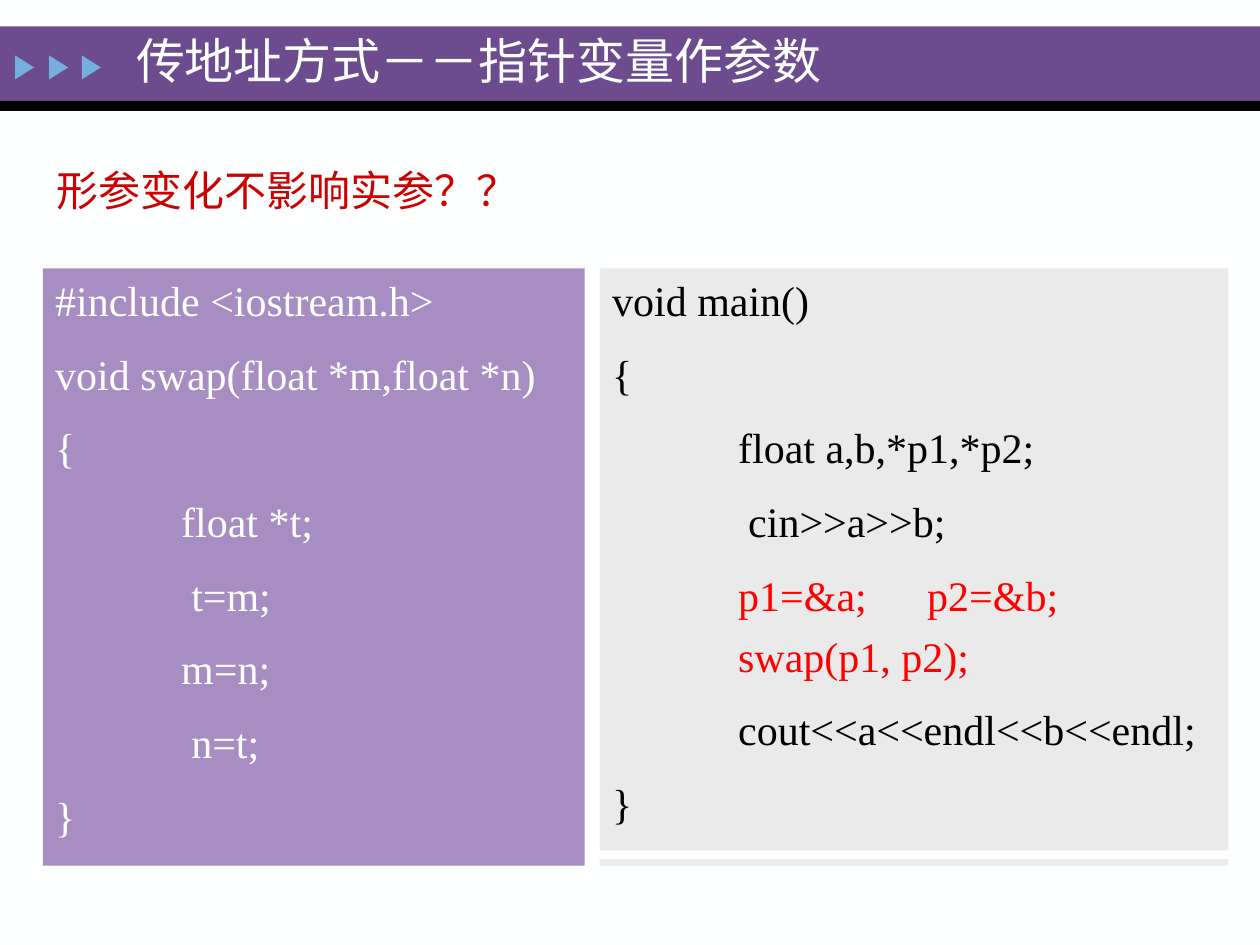
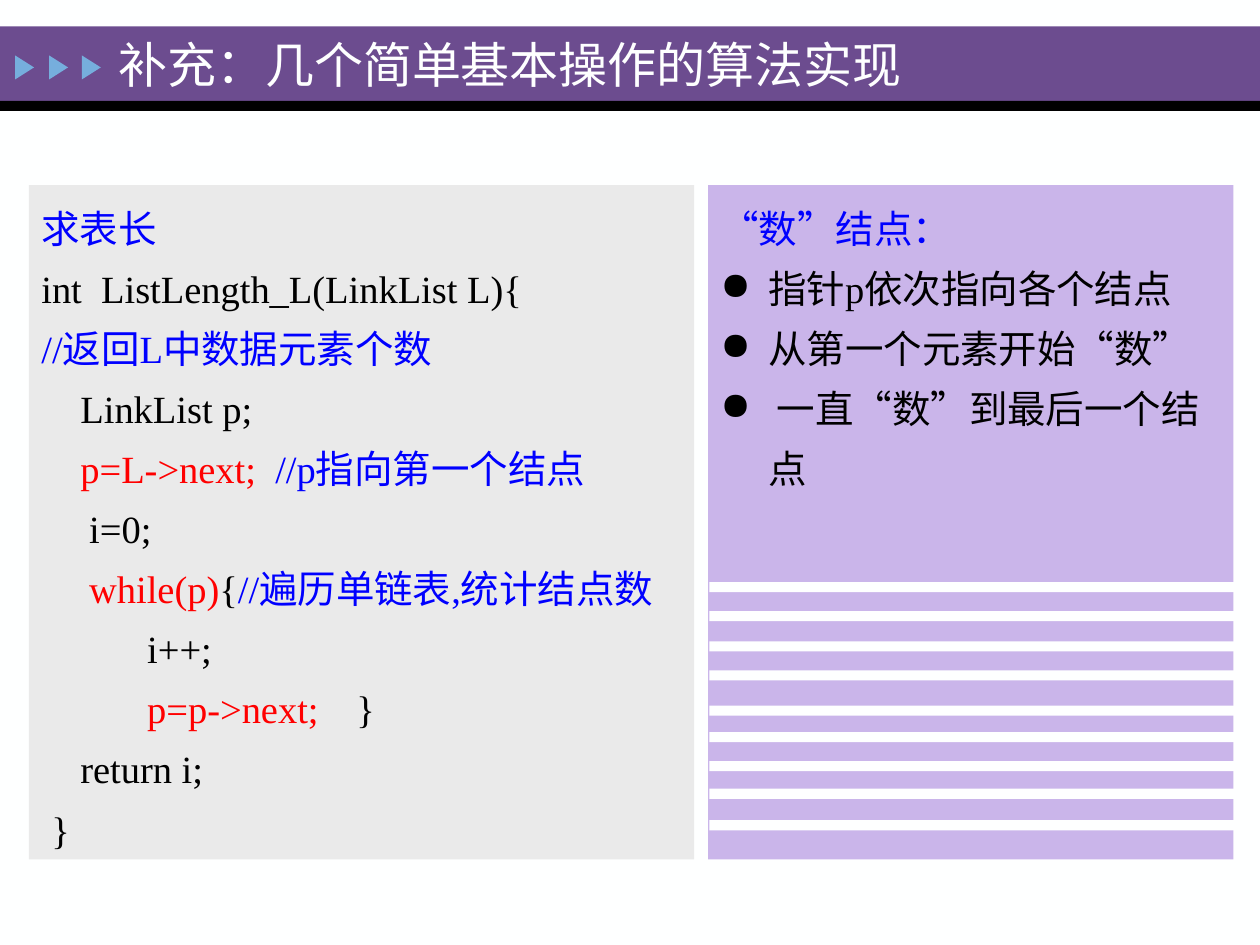
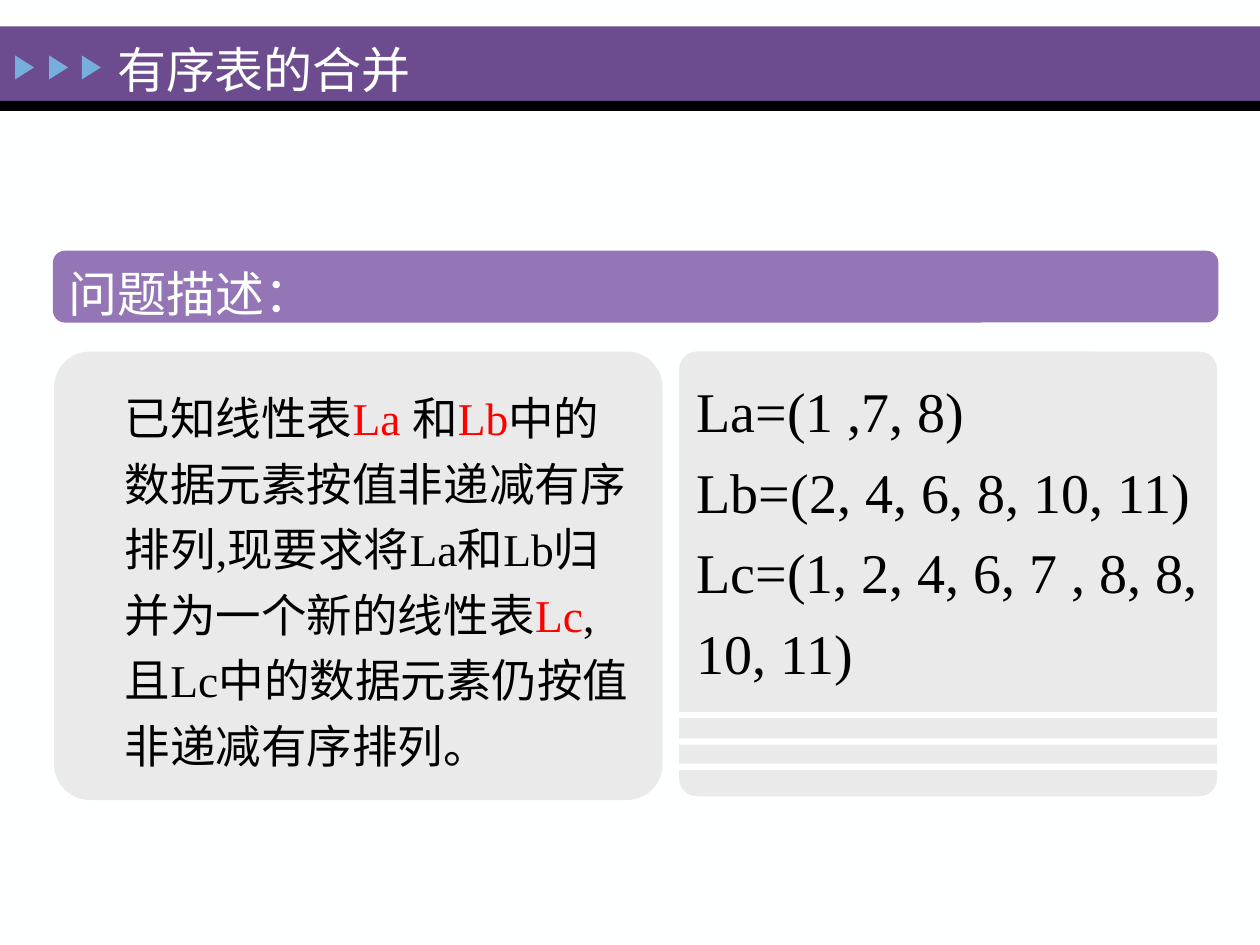
from dataclasses import dataclass

from lxml.etree import SubElement
from pptx import Presentation
from pptx.dml.color import RGBColor
from pptx.enum.shapes import MSO_SHAPE as Form
from pptx.enum.text import MSO_ANCHOR as Anchor, MSO_AUTO_SIZE as Fit, PP_ALIGN as Align
from pptx.oxml.ns import qn
from pptx.util import Inches, Pt

WHITE, BLACK, GREY = "FEFFFF", "000000", "EAEAEA"
RED, BLUE = "FF0000", "0000FF"
FONT = "Times New Roman"


def rgb(code):
    return RGBColor.from_string(code)


@dataclass
class Line:
    """A paragraph: text, or (text, colour) pairs; lengths in inches, before in points."""
    text: object
    color: str = BLACK
    first: float = 0
    left: float = 0
    before: float = 0
    tab: float = 0
    bullet: str = ""

    def runs(self):
        return [(self.text, self.color)] if isinstance(self.text, str) else self.text


class Deck:
    def __init__(self):
        self.prs = Presentation()
        self.prs.slide_width, self.prs.slide_height = Inches(10), Inches(7.5)
        fill = self.prs.slide_master.background.fill
        fill.solid()
        fill.fore_color.rgb = rgb(WHITE)
        self.layout = self.prs.slide_layouts[5]
        self.slide = None

    def page(self, title, *box):
        """Start a slide and put its title at box."""
        self.slide = self.prs.slides.add_slide(self.layout)
        if len(self.prs.slides) == 1:
            self.banner()
        head = self.slide.shapes.title
        head.left, head.top, head.width, head.height = map(Inches, box)
        self.fill_text(head, [Line(title, WHITE)], 28, anchor=Anchor.MIDDLE)

    def banner(self):
        """Draw the title band and move it to the layout, behind its placeholders."""
        parts = [self.shape((0, 0.21, 10, 0.59), "6C4C8F"),
                 self.shape((0, 0.8, 10, 0.08), BLACK)]
        for x in (0.1, 0.37, 0.63):
            arrow = self.shape((x, 0.46, 0.19, 0.15), "76AEDD", Form.ISOSCELES_TRIANGLE)
            arrow.rotation = 90
            parts.append(arrow)
        for spot, part in enumerate(parts, 2):
            self.layout.shapes.element.insert(spot, part.element)

    def shape(self, box, fill, form=Form.RECTANGLE, adj=None):
        shape = self.slide.shapes.add_shape(form, *map(Inches, box))
        shape.shadow.inherit = False
        shape.fill.solid()
        shape.fill.fore_color.rgb = rgb(fill)
        shape.line.fill.background()
        if adj is not None:
            shape.adjustments[0] = adj
        return shape

    def panel(self, box, fill, lines, size, form=Form.RECTANGLE, adj=None, **style):
        self.fill_text(self.shape(box, fill, form, adj), lines, size, **style)

    def label(self, box, lines, size, **style):
        self.fill_text(self.slide.shapes.add_textbox(*map(Inches, box)), lines, size, **style)

    def bars(self, x, tops, width, height, fill):
        for top in tops:
            self.shape((x, top, width, height), fill)

    def fill_text(self, shape, lines, size, gap=1.0, anchor=Anchor.TOP):
        frame = shape.text_frame
        frame.word_wrap, frame.auto_size = True, Fit.NONE
        frame.vertical_anchor = anchor
        for i, line in enumerate(lines):
            para = frame.add_paragraph() if i else frame.paragraphs[0]
            para.alignment, para.line_spacing = Align.LEFT, gap
            para.space_before = Pt(line.before)
            para.font.name, para.font.size = FONT, Pt(size)
            self.indent(para, line)
            runs = line.runs()
            if len(runs) == 1:
                para.font.color.rgb = rgb(runs[0][1])
            for text, color in runs:
                run = para.add_run()
                run.text = text
                if len(runs) > 1:
                    run.font.color.rgb = rgb(color)

    def indent(self, para, line):
        props = para._p.get_or_add_pPr()
        props.set("marL", str(Inches(line.left)))
        props.set("indent", str(Inches(line.first)))
        font = props.find(qn("a:defRPr"))
        if line.bullet:
            font.addprevious(SubElement(props, qn("a:buChar"), char=line.bullet))
        if line.tab:
            tabs = SubElement(props, qn("a:tabLst"))
            SubElement(tabs, qn("a:tab"), pos=str(Inches(line.tab)), algn="l")
            font.addprevious(tabs)


def swap(deck):
    deck.page("传地址方式－－指针变量作参数", 0.98, 0.01, 7.58, 0.93)
    main_top = [("void main()", 0), ("{", 0), ("float a,b,*p1,*p2;", 1), ("cin>>a>>b;", 1.08)]
    main_end = [("cout<<a<<endl<<b<<endl;", 1), ("}", 0)]
    body = [("#include <iostream.h>", 0), ("void swap(float *m,float *n)", 0), ("{", 0),
            ("float *t;", 1), ("t=m;", 1.08), ("m=n;", 1), ("n=t;", 1.08), ("}", 0)]

    def code(rows, color):
        return [Line(text, color, first, before=13.3) for text, first in rows]

    calls = [Line("p1=&a;\tp2=&b;", RED, 1, before=13.3, tab=2.27),
             Line("swap(p1, p2);", RED, 1, before=6)]
    deck.panel((4.76, 2.13, 4.99, 4.62), GREY,
               code(main_top, BLACK) + calls + code(main_end, BLACK), 24)
    deck.panel((0.34, 2.13, 4.3, 4.74), "A78DC2", code(body, WHITE), 24)
    deck.label((0.35, 1.3, 5, 0.46), [Line("形参变化不影响实参？？", "CC0000", before=5)],
               24, gap=0.9)
    deck.bars(4.76, [6.82], 4.99, 0.05, GREY)


def length(deck):
    deck.page("补充：几个简单基本操作的算法实现", 0.84, 0.22, 8.12, 0.57)
    code = [
        Line("求表长", BLUE, before=5),
        Line("int  ListLength_L(LinkList L){"),
        Line("//返回L中数据元素个数", BLUE),
        Line("LinkList p;", first=0.31),
        Line([("p=L->next;  ", RED), ("//p指向第一个结点", BLUE)], first=0.31),
        Line("i=0;", first=0.38),
        Line([("while(p)", RED), ("{", BLACK), ("//遍历单链表,统计结点数", BLUE)], first=0.38),
        Line("i++;", first=0.84),
        Line([("p=p->next;\t", RED), ("}", BLACK)], first=0.84, tab=2.53),
        Line("return i;", first=0.31),
        Line("}", first=0.08),
    ]
    steps = ["指针p依次指向各个结点", "从第一个元素开始“数”", " 一直“数”到最后一个结点"]
    notes = [Line("“数”结点：", BLUE)]
    notes += [Line(step, first=-0.38, left=0.38, bullet="●") for step in steps]
    deck.panel((0.23, 1.47, 5.28, 5.35), GREY, code, 22, gap=1.3)
    deck.panel((5.62, 1.47, 4.17, 5.35), "CAB5EA", notes, 22, gap=1.3)
    deck.bars(5.63, (4.62, 4.85, 5.09, 5.32, 5.6, 5.81, 6.04, 6.26, 6.51), 4.17, 0.08, WHITE)


def merge(deck):
    deck.page("有序表的合并", 0.83, 0.17, 8.59, 0.75)
    task = [("已知线性表", BLACK), ("La ", RED), ("和", BLACK), ("Lb", RED),
            ("中的数据元素按值非递减有序排列,现要求将La和Lb归并为一个新的线性表", BLACK),
            ("Lc", RED), (",且Lc中的数据元素仍按值非递减有序排列。", BLACK)]
    lists = ["La=(1 ,7, 8)", "Lb=(2, 4, 6, 8, 10, 11)", "Lc=(1, 2, 4, 6, 7 , 8, 8, 10, 11)"]
    card = Form.ROUNDED_RECTANGLE
    deck.panel((0.42, 1.99, 9.25, 0.57), "9476B6", [Line("问题描述：", WHITE, before=6)], 28,
               card, gap=1.2, anchor=Anchor.MIDDLE)
    deck.panel((5.39, 2.79, 4.27, 3.53), GREY, [Line(row) for row in lists], 32,
               card, 0.04, gap=1.2)
    deck.panel((0.43, 2.79, 4.83, 3.56), GREY, [Line(task, left=0.38, before=6)], 26,
               card, 0.08, gap=1.2, anchor=Anchor.MIDDLE)
    deck.bars(5.39, (5.65, 5.86, 6.06), 4.27, 0.05, WHITE)


def main():
    deck = Deck()
    for draw in (swap, length, merge):
        draw(deck)
    deck.prs.save("out.pptx")


if __name__ == "__main__":
    main()
